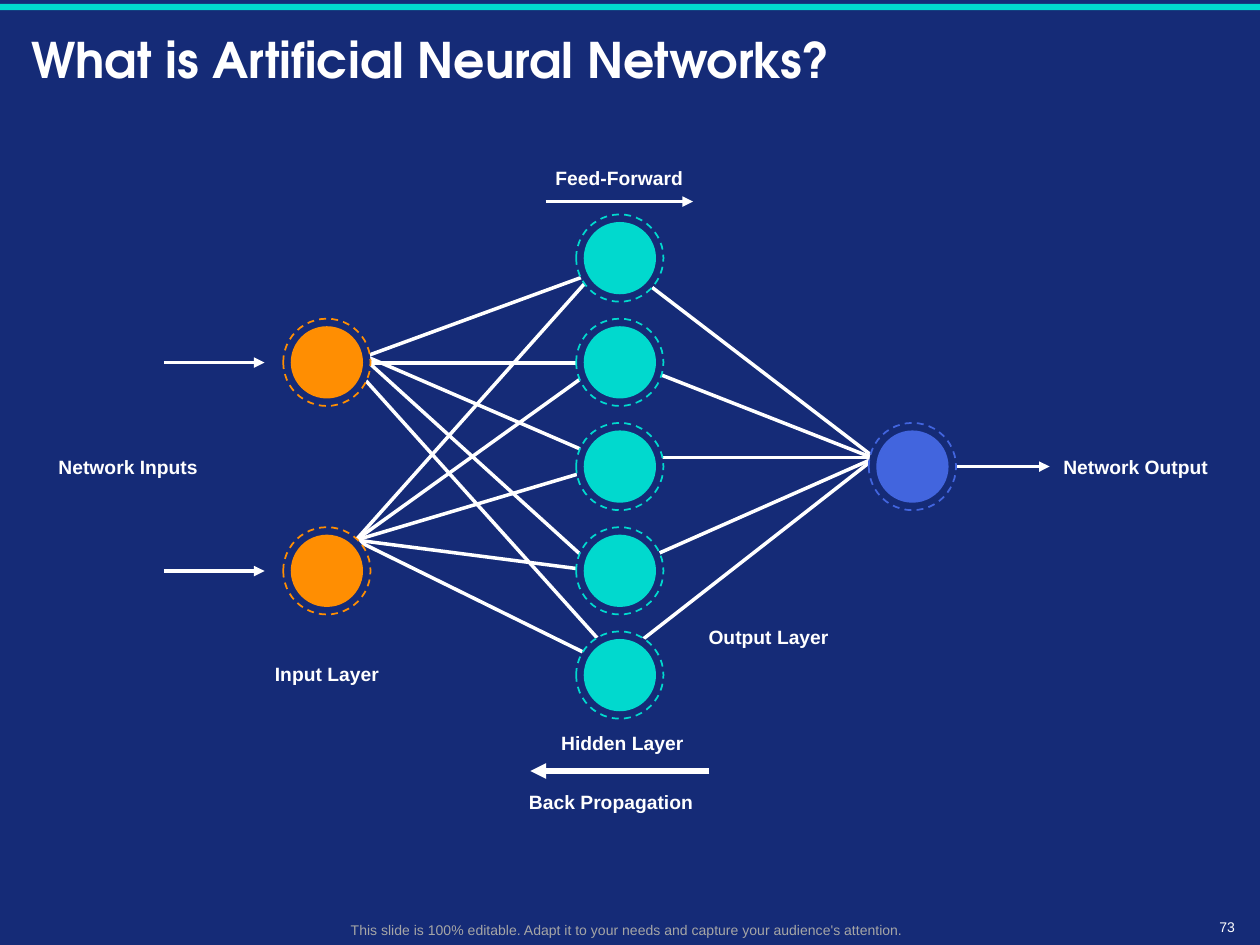
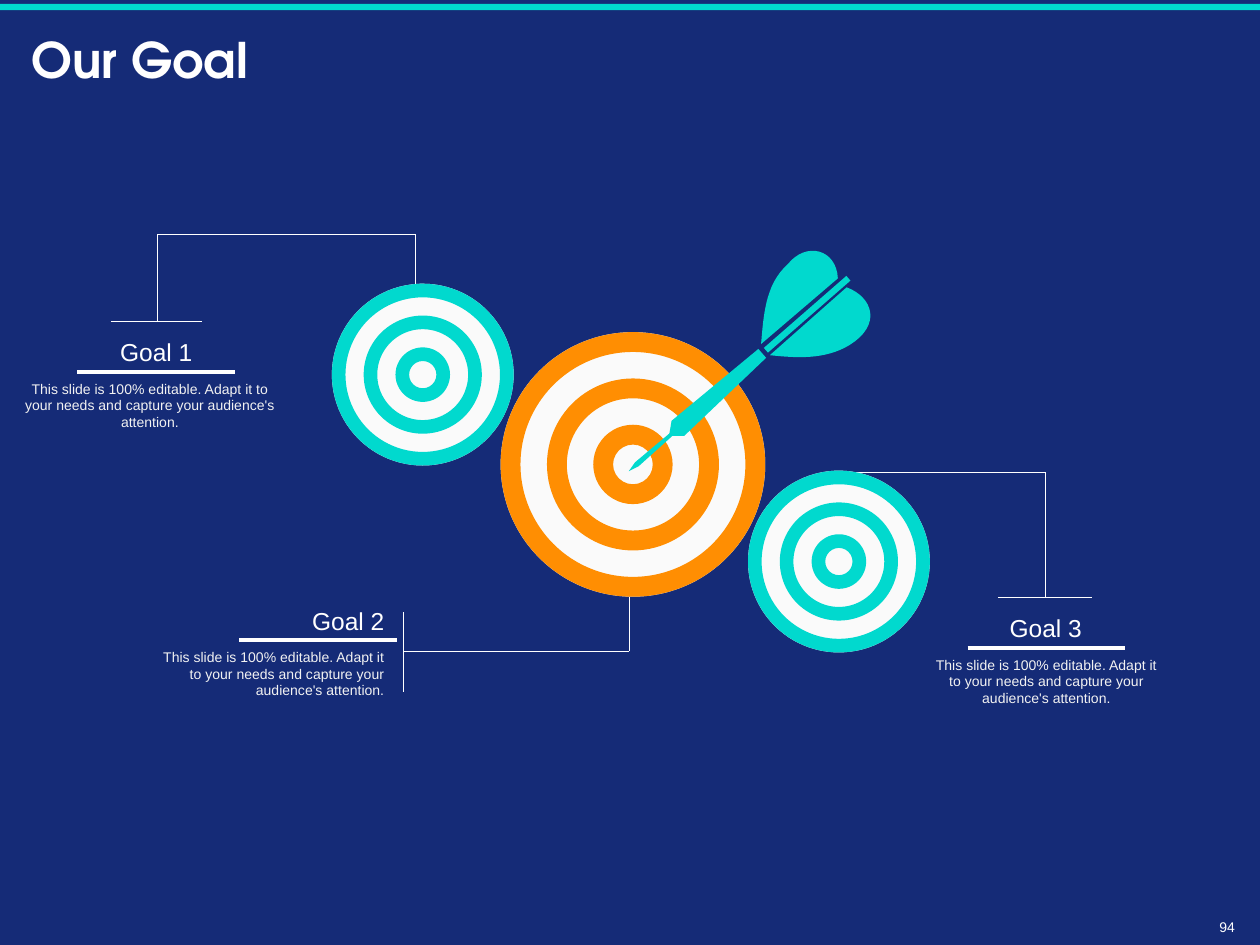
"""Build two slides: a neural network diagram and a set of goals around targets."""
import itertools

import pptx
import pptx.dml.color
import pptx.enum.dml
import pptx.enum.shapes
import pptx.enum.text
import pptx.oxml.ns
import pptx.util
from lxml import etree

Pt = pptx.util.Pt
RGBColor = pptx.dml.color.RGBColor
SHAPE = pptx.enum.shapes.MSO_SHAPE
ALIGN = pptx.enum.text.PP_ALIGN
MIDDLE = pptx.enum.text.MSO_ANCHOR.MIDDLE

NAVY = RGBColor(0x15, 0x2B, 0x77)
TURQUOISE = RGBColor(0x01, 0xD9, 0xCE)
ORANGE = RGBColor(0xFF, 0x8E, 0x02)
BLUE = RGBColor(0x42, 0x65, 0xDE)
WHITE = RGBColor(0xFF, 0xFF, 0xFF)
OFF_WHITE = RGBColor(0xFA, 0xFA, 0xFA)
PALE = RGBColor(0xF2, 0xF2, 0xF2)
GREY = RGBColor(0xA6, 0xA6, 0xA6)

WIDTH, HEIGHT = 720, 540
EDITABLE = ("This slide is 100% editable. Adapt it to your needs "
            "and capture your audience's attention.")

INPUT_X, HIDDEN_X, OUTPUT_X = 186.8, 354.2, 521.4
ROWS = [147.5 + 59.57 * row for row in range(5)]
LAYERS = [
    (INPUT_X, ROWS[1::2], ORANGE),
    (HIDDEN_X, ROWS, TURQUOISE),
    (OUTPUT_X, ROWS[2:3], BLUE),
]
LINKS = [
    ((198.7, 207.4), (348.5, 152.6)),
    ((207.4, 207.4), (333.4, 207.4)),
    ((209.5, 203.8), (349.2, 264.2)),
    ((195.8, 193.7), (342, 326.2)),
    ((204.5, 212.4), (345.6, 369.4)),
    ((198.7, 313.9), (334.1, 162)),
    ((193, 316.1), (335.5, 213.8)),
    ((180.7, 315.4), (347.8, 265.7)),
    ((177.8, 305.3), (350.6, 327.6)),
    ((198, 306), (342.7, 377.3)),
    ((367.9, 160.6), (527.8, 283)),
    ((345.6, 201.6), (532.8, 275)),
    ((375.1, 261.4), (515.5, 261.4)),
    ((376.6, 316.1), (505.4, 259.2)),
    ((355.7, 374.4), (503.3, 259.2)),
]
FLOWS = [
    ((311.8, 115.2), (396, 115.2), 0),
    ((93.6, 207.2), (151.2, 207.2), 0),
    ((93.6, 326.3), (151.2, 326.3), 0),
    ((542.2, 266.6), (599.8, 266.6), 0),
    ((405.4, 440.6), (303.1, 440.6), 3),
]
LABELS = [
    ("Feed-Forward", 306.7, 90.7, 94.3, ALIGN.CENTER),
    ("Network Inputs", 18.7, 255.6, 101.5, ALIGN.RIGHT),
    ("Network Output", 600.5, 255.6, 104.4, ALIGN.LEFT),
    ("Input Layer", 146.9, 373.7, 79.9, ALIGN.CENTER),
    ("Output Layer", 394.6, 352.8, 89.3, ALIGN.CENTER),
    ("Hidden Layer", 310.3, 413.3, 90.7, ALIGN.CENTER),
    ("Back Propagation", 290.9, 447.1, 116.6, ALIGN.CENTER),
]

CALLOUTS = [
    [(237.6, 183.6), (237.6, 133.9), (90, 133.9), (90, 183.6)],
    [(63.4, 183.6), (115.2, 183.6)],
    [(359.5, 341.3), (359.5, 372.2), (231.1, 372.2)],
    [(230.4, 350), (230.4, 395.3)],
    [(479.5, 270.2), (597.6, 270.2), (597.6, 341.3)],
    [(570.2, 341.3), (624.2, 341.3)],
]
GOALS = [
    ("Goal 1", 60.5, 44.2, (7.2, 212.6, 157), ALIGN.CENTER),
    ("Goal 2", 169.2, 136.8, (79.2, 365.8, 147.6), ALIGN.RIGHT),
    ("Goal 3", 568.8, 553, (524.2, 370.3, 147.6), ALIGN.CENTER),
]
NEEDLE = [(359.3, 269.3), (362.9, 264.2), (385.2, 245.5), (386.6, 247), (365, 266.4)]
BARREL = [(433.4, 199.4), (437.8, 204.5), (391, 249.1), (382.3, 249.1), (383.8, 240.5)]
UPPER_FIN = [
    ((434.9, 196.6), (436.3, 181.4), (437, 162.7), (450, 151.2)),
    ((450, 151.2), (460.8, 137.5), (478.1, 142.6), (478.8, 159.1)),
]
LOWER_FIN = [
    ((483.8, 164.2), (499, 169.9), (504, 185.8), (485.3, 197.3)),
    ((485.3, 197.3), (470.9, 205.9), (454.3, 204.5), (439.9, 203)),
]


def curve_points(curves, steps=16):
    """Return points along a chain of cubic Bezier curves."""
    points = []
    for a, b, c, d in curves:
        for step in range(steps + 1):
            t = step / steps
            u = 1 - t
            weights = (u ** 3, 3 * u * u * t, 3 * u * t * t, t ** 3)
            points.append(tuple(
                sum(w * p[axis] for w, p in zip(weights, (a, b, c, d)))
                for axis in (0, 1)))
    return points


class Deck:
    """Hold the shared style and the slide being drawn."""

    def __init__(self):
        """Start a presentation with a navy background."""
        self.show = pptx.Presentation()
        self.show.slide_width, self.show.slide_height = Pt(WIDTH), Pt(HEIGHT)
        backdrop = self.show.slide_master.background.fill
        backdrop.solid()
        backdrop.fore_color.rgb = NAVY
        self.slide = None

    def start(self, title, number):
        """Add a slide with its band, title and number."""
        self.slide = self.show.slides.add_slide(self.show.slide_layouts[5])
        self.shape(SHAPE.RECTANGLE, 0, 2.2, WIDTH, 3.6, TURQUOISE)
        heading = self.slide.shapes.title
        heading.left, heading.top = Pt(10.8), Pt(7.9)
        heading.width, heading.height = Pt(698.4), Pt(56.2)
        self.set_text(heading, title, 28, WHITE, ALIGN.LEFT, True, "TeX Gyre Adventor")
        heading.text_frame.paragraphs[0].line_spacing = 0.9
        self.text(number, 682.6, 522, 30.2, 15.1, 8, align=ALIGN.RIGHT)

    def set_text(self, holder, words, size, color, align, bold=False, face="Arial"):
        """Fill a shape with one formatted paragraph."""
        frame = holder.text_frame
        frame.text = words
        frame.auto_size = pptx.enum.text.MSO_AUTO_SIZE.NONE
        frame.vertical_anchor = MIDDLE
        paragraph = frame.paragraphs[0]
        paragraph.alignment = align
        font = paragraph.font
        font.name, font.size, font.bold = face, Pt(size), bold
        font.color.rgb = color

    def text(self, words, x, y, w, h, size, color=WHITE, align=ALIGN.CENTER,
             bold=False, wrap=True):
        """Add a text box."""
        box = self.slide.shapes.add_textbox(Pt(x), Pt(y), Pt(w), Pt(h))
        self.set_text(box, words, size, color, align, bold)
        box.text_frame.word_wrap = wrap

    def paint(self, shape, fill):
        """Give a shape a flat fill without line or shadow."""
        shape.shadow.inherit = False
        shape.fill.solid()
        shape.fill.fore_color.rgb = fill
        shape.line.fill.background()
        return shape

    def shape(self, kind, x, y, w, h, fill):
        """Add a preset shape."""
        return self.paint(
            self.slide.shapes.add_shape(kind, Pt(x), Pt(y), Pt(w), Pt(h)), fill)

    def round(self, kind, center, diameter, fill):
        """Add a round shape about a centre."""
        left, top = (c - diameter / 2 for c in center)
        return self.shape(kind, left, top, diameter, diameter, fill)

    def outline(self, points, fill):
        """Add a closed outline."""
        start, *rest = [(Pt(x), Pt(y)) for x, y in points]
        builder = self.slide.shapes.build_freeform(*start)
        builder.add_line_segments(rest, close=True)
        self.paint(builder.convert_to_shape(), fill)

    def line(self, start, end, width=0, arrow=False):
        """Add a white line, with an arrowhead at its end if asked."""
        link = self.slide.shapes.add_connector(
            pptx.enum.shapes.MSO_CONNECTOR.STRAIGHT, *map(Pt, (*start, *end)))
        link.line.color.rgb = WHITE
        link.line.width = Pt(width)
        qn = pptx.oxml.ns.qn
        properties = link._element.spPr
        if arrow:
            etree.SubElement(properties.find(qn("a:ln")), qn("a:tailEnd"), type="triangle")
        etree.SubElement(properties, qn("a:effectLst"))

    def node(self, center, color):
        """Add a neuron: a disc inside a dashed ring."""
        ring = self.round(SHAPE.OVAL, center, 49.9, NAVY)
        ring.line.color.rgb = color
        ring.line.width = Pt(1)
        ring.line.dash_style = pptx.enum.dml.MSO_LINE.DASH
        self.round(SHAPE.OVAL, center, 41.3, color)

    def target(self, center, diameter, color):
        """Add a target of three equally thick rings on a white disc."""
        self.round(SHAPE.OVAL, center, diameter, OFF_WHITE)
        for share in (1, 0.65, 0.3):
            ring = self.round(SHAPE.DONUT, center, diameter * share, color)
            ring.adjustments[0] = 0.075 / share

    def dart(self):
        """Add the dart stuck in the middle target."""
        self.outline(NEEDLE, TURQUOISE)
        shaft = self.shape(SHAPE.RECTANGLE, 459.4, 148.3, 3.6, 62.6, TURQUOISE)
        shaft.rotation = 48.9
        for part in (curve_points(UPPER_FIN), BARREL, curve_points(LOWER_FIN)):
            self.outline(part, TURQUOISE)


def draw_network(deck):
    """Draw the neural network slide."""
    deck.start("What is Artificial Neural Networks?", "73")
    for start, end in LINKS:
        deck.line(start, end)
    for start, end, width in FLOWS:
        deck.line(start, end, width, arrow=True)
    for x, rows, color in LAYERS:
        for y in rows:
            deck.node((x, y), color)
    for words, x, y, w, align in LABELS:
        deck.text(words, x, y, w, 22.3, 11, align=align, bold=True, wrap=False)
    deck.text(EDITABLE, 31.8, 522.7, 653, 17.3, 8, GREY)


def draw_goals(deck):
    """Draw the goals slide."""
    deck.start("Our Goal", "94")
    for route in CALLOUTS:
        for start, end in itertools.pairwise(route):
            deck.line(start, end, 0.5)
    deck.target((361.7, 265.4), 151.2, ORANGE)
    deck.dart()
    deck.target((479.4, 320.9), 103.9, TURQUOISE)
    deck.target((241.6, 214.1), 103.9, TURQUOISE)
    for name, name_x, rule_x, (x, y, w), align in GOALS:
        deck.text(EDITABLE, x, y, w, 38, 8, PALE, align)
        deck.text(name, name_x, y - 24, 57.6, 25.2, 14, align=align, wrap=False)
        deck.line((rule_x, y), (rule_x + 90, y))


def main():
    """Draw both slides and save them."""
    deck = Deck()
    draw_network(deck)
    draw_goals(deck)
    deck.show.save("out.pptx")


if __name__ == "__main__":
    main()
